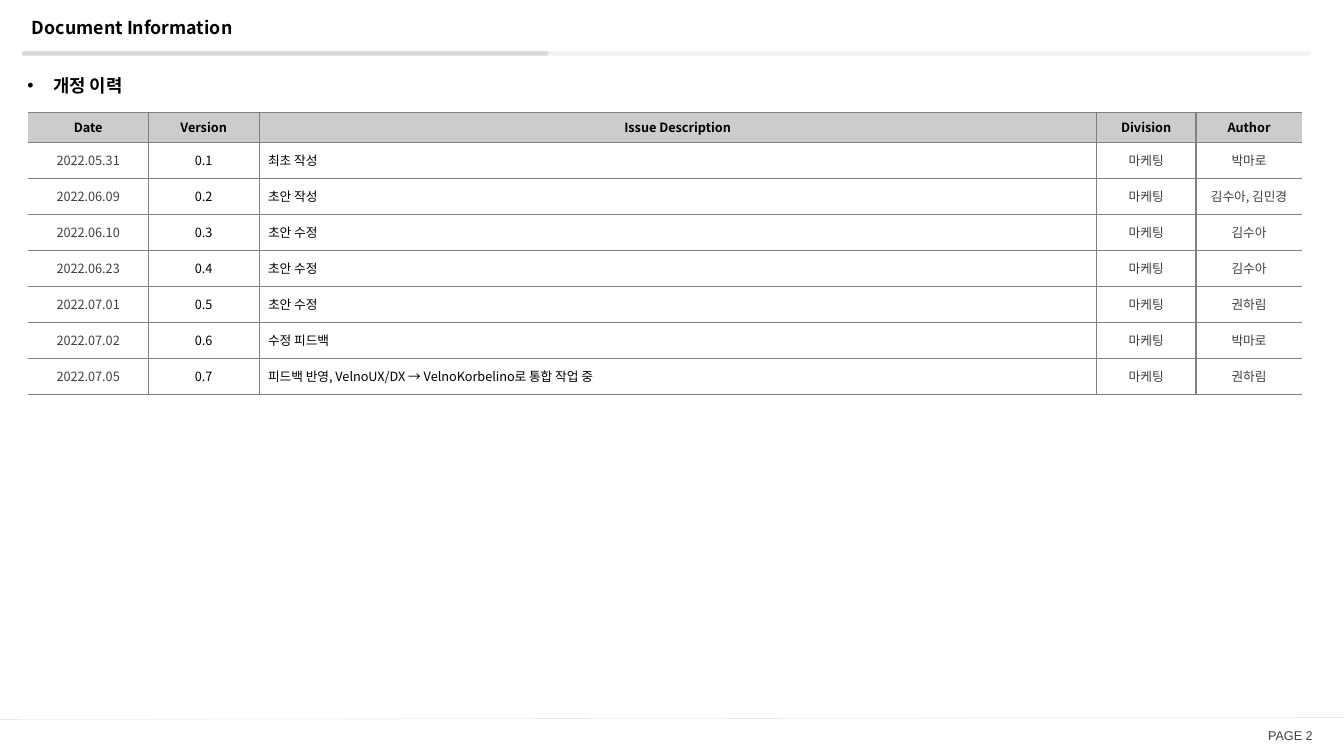
from lxml import etree
from pptx import Presentation
from pptx.dml.color import RGBColor
from pptx.enum.shapes import MSO_CONNECTOR, MSO_SHAPE
from pptx.enum.text import MSO_ANCHOR, MSO_AUTO_SIZE, PP_ALIGN
from pptx.oxml.ns import qn
from pptx.util import Pt

ROUNDED = MSO_SHAPE.ROUNDED_RECTANGLE
STRAIGHT = MSO_CONNECTOR.STRAIGHT
MIDDLE = MSO_ANCHOR.MIDDLE
NO_AUTOFIT = MSO_AUTO_SIZE.NONE
LEFT, CENTER = PP_ALIGN.LEFT, PP_ALIGN.CENTER

WIDTH, HEIGHT = 1058.4, 595.44
BLACK, GRAY, BORDER = "000000", "404040", "808080"
HEADER_FILL = "CCCCCC"
KOREAN, LATIN = "Noto Sans CJK KR", "Arial"

COLUMN_WIDTHS = [95, 87, 659.5, 78.5, 83.5]
COLUMN_COLORS = [GRAY, BLACK, BLACK, GRAY, GRAY]
COLUMN_ALIGNS = [CENTER, CENTER, LEFT, CENTER, CENTER]
DIVIDERS = [0, 0.5, 0.5, 1, 1, 0]
HEADER_HEIGHT, ROW_HEIGHT = 23.6, 28.35
HEADERS = ["Date", "Version", "Issue Description", "Division", "Author"]
REVISIONS = [
    ("2022.05.31", "0.1", "최초 작성", "마케팅", "박마로"),
    ("2022.06.09", "0.2", "초안 작성", "마케팅", "김수아, 김민경"),
    ("2022.06.10", "0.3", "초안 수정", "마케팅", "김수아"),
    ("2022.06.23", "0.4", "초안 수정", "마케팅", "김수아"),
    ("2022.07.01", "0.5", "초안 수정", "마케팅", "권하림"),
    ("2022.07.02", "0.6", "수정 피드백", "마케팅", "박마로"),
    ("2022.07.05", "0.7", "피드백 반영, VelnoUX/DX → VelnoKorbelino로 통합 작업 중",
     "마케팅", "권하림"),
]


def color(hex_string):
    return RGBColor.from_string(hex_string)


class SlideBuilder:
    def __init__(self, slide):
        self.slide = slide

    def run(self, paragraph, words, size, ink=BLACK, bold=False, face=KOREAN):
        run = paragraph.add_run()
        run.text = words
        run.font.size = Pt(size)
        run.font.bold = bold
        run.font.color.rgb = color(ink)
        run.font.name = face
        etree.SubElement(run.font._element, qn("a:ea"), typeface=face)

    def title(self, words, left, top, width, height):
        title = self.slide.shapes.title
        title.left, title.top = Pt(left), Pt(top)
        title.width, title.height = Pt(width), Pt(height)
        frame = title.text_frame
        frame.auto_size = NO_AUTOFIT
        frame.vertical_anchor = MIDDLE
        paragraph = frame.paragraphs[0]
        paragraph.alignment = LEFT
        paragraph.line_spacing = 0.9
        self.run(paragraph, words, 14, bold=True)

    def text(self, left, top, width, height, wrap):
        box = self.slide.shapes.add_textbox(Pt(left), Pt(top), Pt(width), Pt(height))
        frame = box.text_frame
        frame.word_wrap = wrap
        frame.vertical_anchor = MIDDLE
        frame.margin_left = frame.margin_right = Pt(0)
        frame.margin_top = frame.margin_bottom = Pt(0)
        return frame.paragraphs[0]

    def bullet_heading(self, words, left, top, width, height):
        paragraph = self.text(left, top, width, height, True)
        properties = paragraph._p.get_or_add_pPr()
        indent = Pt(20.2)
        properties.set("marL", str(indent))
        properties.set("indent", str(-indent))
        etree.SubElement(properties, qn("a:buFont"), typeface=LATIN)
        etree.SubElement(properties, qn("a:buChar"), char="•")
        paragraph.line_spacing = 0.9
        self.run(paragraph, words, 14, bold=True)

    def bar(self, left, top, width, height, fill):
        bar = self.slide.shapes.add_shape(ROUNDED, Pt(left), Pt(top), Pt(width), Pt(height))
        bar.adjustments[0] = 0.5
        bar.shadow.inherit = False
        bar.fill.solid()
        bar.fill.fore_color.rgb = color(fill)
        bar.line.fill.background()

    def rule(self, x1, y1, x2, y2, ink, weight):
        rule = self.slide.shapes.add_connector(STRAIGHT, Pt(x1), Pt(y1), Pt(x2), Pt(y2))
        rule.line.color.rgb = color(ink)
        rule.line.width = Pt(weight)
        etree.SubElement(rule._element.spPr, qn("a:effectLst"))

    def border(self, cell, side, weight):
        properties = cell._tc.get_or_add_tcPr()
        edge = etree.SubElement(properties, qn(f"a:ln{side}"), w=str(Pt(weight)))
        if weight:
            fill = etree.SubElement(edge, qn("a:solidFill"))
            etree.SubElement(fill, qn("a:srgbClr"), val=BORDER)
        else:
            etree.SubElement(edge, qn("a:noFill"))

    def cell(self, cell, words, column, is_header):
        cell.vertical_anchor = MIDDLE
        cell.margin_left = cell.margin_right = Pt(9.4 if is_header else 7.2)
        cell.margin_top = cell.margin_bottom = Pt(4.3 if is_header else 3.6)
        for side, weight in zip("LRTB", [*DIVIDERS[column:column + 2], 0.5, 0.5]):
            self.border(cell, side, weight)
        if is_header:
            cell.fill.solid()
            cell.fill.fore_color.rgb = color(HEADER_FILL)
        else:
            cell.fill.background()
        paragraph = cell.text_frame.paragraphs[0]
        paragraph.alignment = CENTER if is_header else COLUMN_ALIGNS[column]
        ink = BLACK if is_header else COLUMN_COLORS[column]
        self.run(paragraph, words, 10, ink, is_header)

    def table(self, rows, left, top):
        heights = [HEADER_HEIGHT] + [ROW_HEIGHT] * (len(rows) - 1)
        table = self.slide.shapes.add_table(
            len(rows), len(COLUMN_WIDTHS), Pt(left), Pt(top),
            Pt(sum(COLUMN_WIDTHS)), Pt(sum(heights))).table
        table.first_row = table.horz_banding = False
        for column, width in zip(table.columns, COLUMN_WIDTHS):
            column.width = Pt(width)
        for row, height in zip(table.rows, heights):
            row.height = Pt(height)
        for row_index, row in enumerate(rows):
            for column_index, words in enumerate(row):
                self.cell(table.cell(row_index, column_index), words,
                          column_index, row_index == 0)


def main():
    presentation = Presentation()
    presentation.slide_width, presentation.slide_height = Pt(WIDTH), Pt(HEIGHT)
    builder = SlideBuilder(presentation.slides.add_slide(presentation.slide_layouts[5]))

    for width, fill in [(1015.2, "F2F2F2"), (414.7, "D9D9D9")]:
        builder.bar(17.3, 40.3, width, 3.6, fill)
    page_number = builder.text(998.6, 573.1, 41, 12.2, False)
    builder.run(page_number, "PAGE 2", 10, GRAY, face=LATIN)
    builder.rule(0, 566.6, WIDTH, 565.2, "DDDDDD", 0.25)

    builder.title("Document Information", 18, 10, 906.5, 25.2)
    builder.bullet_heading("개정 이력", 21.6, 56.2, 977.8, 23.8)
    builder.table([HEADERS, *REVISIONS], 21.9, 88.5)

    presentation.save("out.pptx")


if __name__ == "__main__":
    main()
